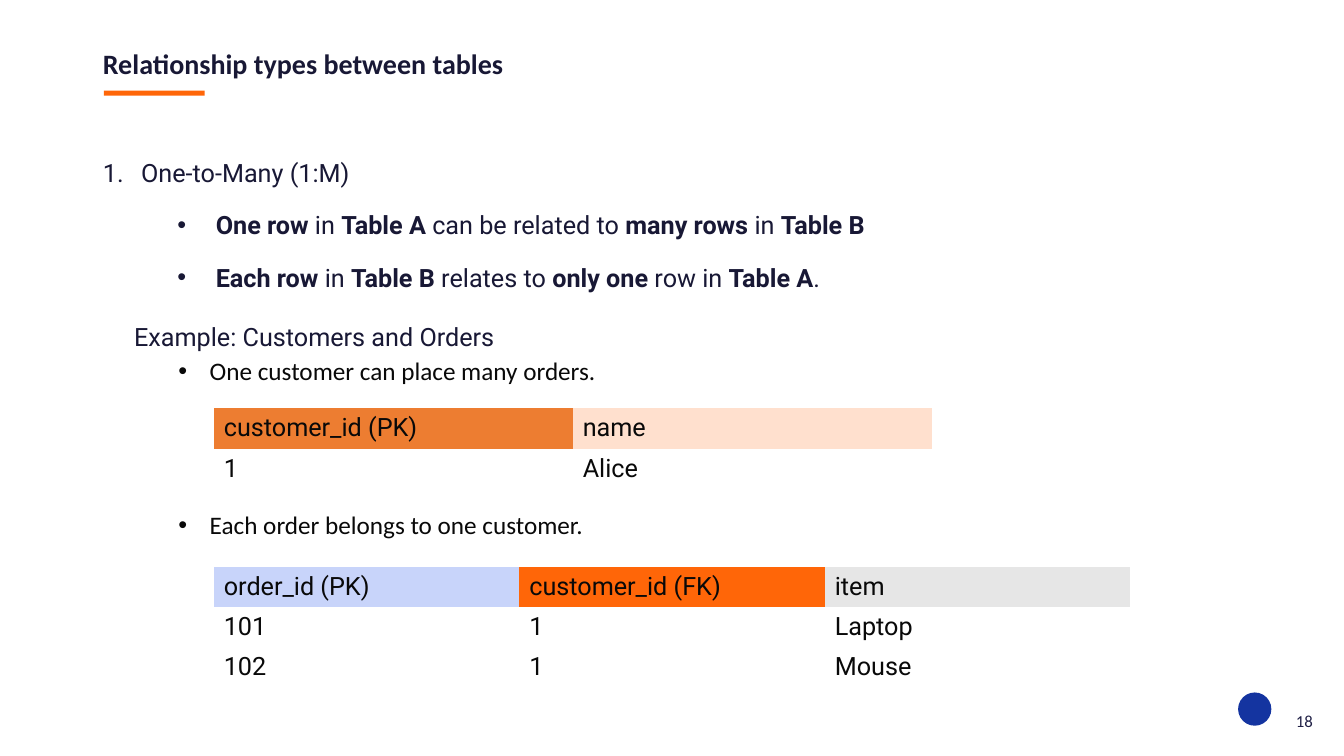
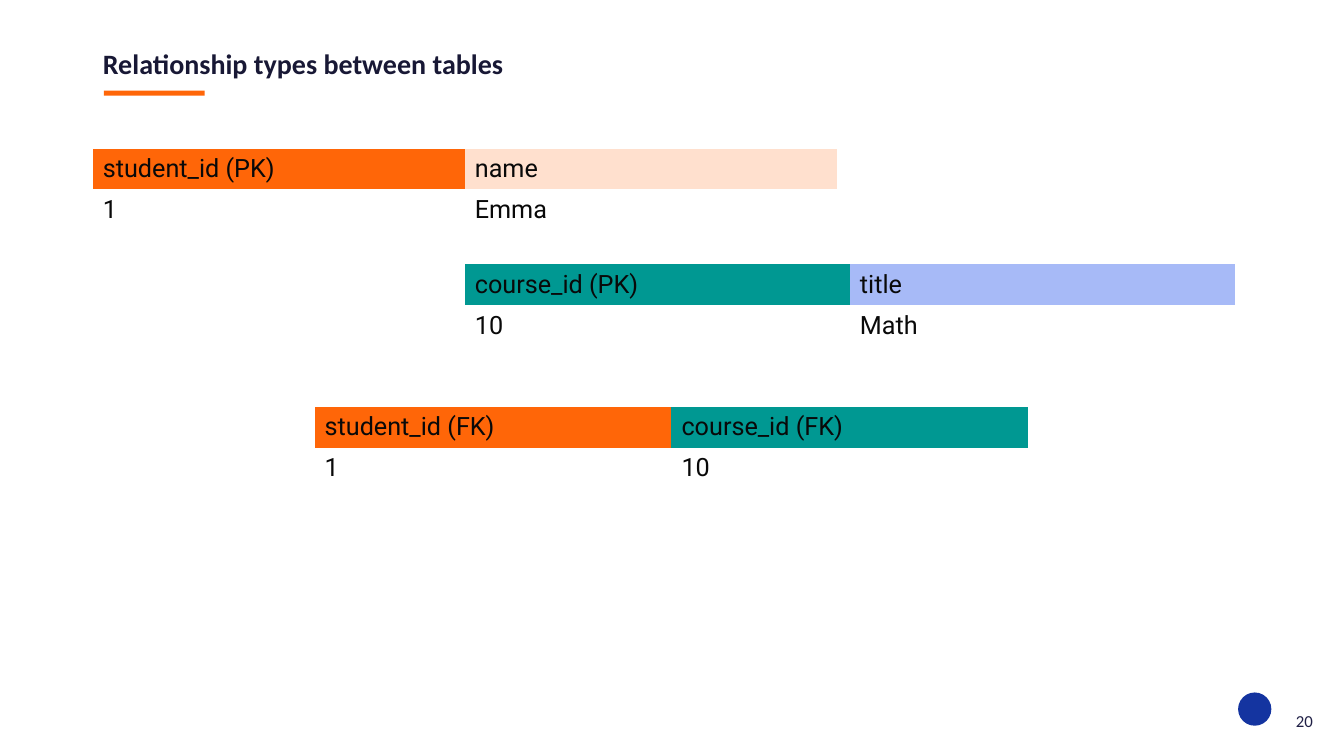
from dataclasses import dataclass

from lxml.etree import SubElement
from pptx import Presentation
from pptx.dml.color import RGBColor
from pptx.enum.shapes import MSO_SHAPE
from pptx.enum.text import MSO_ANCHOR, MSO_AUTO_SIZE, PP_ALIGN
from pptx.oxml.ns import qn
from pptx.util import Inches, Pt


@dataclass(frozen=True)
class Theme:
    heading_font: str = "Calibri"
    text_font: str = "Roboto"
    title_size: int = 20
    text_size: int = 18
    number_size: int = 12
    navy: str = "181835"
    number: str = "202046"
    black: str = "090909"
    mark: str = "1434A0"
    orange: str = "FF6608"
    amber: str = "ED7D31"
    peach: str = "FFE0CE"
    ice: str = "C8D4FA"
    periwinkle: str = "A7BAF7"
    grey: str = "E6E6E6"
    teal: str = "009892"


THEME = Theme()
TITLE_ONLY, TITLE_AND_BODY = 5, 1
PLAIN_TABLE_STYLE = "{2D5ABB26-0587-4C30-8999-92F81FD0307C}"

NUMBER = {"bullet": ("a:buAutoNum", {"type": "arabicPeriod"}), "left": 0.38, "hang": 0.38,
          "line": 1.2, "font": THEME.text_font, "color": THEME.navy}
RULE = {"bullet": ("a:buChar", {"char": "•"}), "left": 1.12, "hang": 0.38,
        "line": 1.5, "font": THEME.text_font, "color": THEME.navy}
EXAMPLE = {"bullet": ("a:buNone", {}), "left": 0.31, "hang": 0,
           "line": 1.5, "font": THEME.text_font, "color": THEME.navy}
CASE = {"bullet": ("a:buChar", {"char": "•"}), "left": 1.06, "hang": 0.31,
        "line": 0.9, "font": THEME.heading_font, "color": THEME.black}

SLIDES = [
    {
        "title": "Relationship types between tables",
        "number": "18",
        "body": [
            (NUMBER, 0, "One-to-Many (1:M)"),
            (RULE, 5, "**One row** in **Table A** can be related to **many rows** in **Table B**"),
            (RULE, 5, "**Each row** in **Table B** relates to **only one** row in **Table A**."),
            (EXAMPLE, 10, "Example: Customers and Orders"),
            (CASE, 5, "One customer can place many orders."),
            (CASE, 91, "Each order belongs to one customer."),
        ],
        "tables": [
            {"at": (2.12, 4.05), "column": 3.56, "row": 0.4,
             "fills": [THEME.amber, THEME.peach],
             "rows": [("customer_id (PK)", "name"), ("1", "Alice")]},
            {"at": (2.12, 5.62), "column": 3.03, "row": 0.4,
             "fills": [THEME.ice, THEME.orange, THEME.grey],
             "rows": [("order_id (PK)", "customer_id (FK)", "item"),
                      ("101", "1", "Laptop"), ("102", "1", "Mouse")]},
        ],
    },
    {
        "title": "Relationship types between tables",
        "number": "20",
        "body": [],
        "tables": [
            {"at": (0.92, 1.48), "column": 3.69, "row": 0.4,
             "fills": [THEME.orange, THEME.peach],
             "rows": [("student_id (PK)", "name"), ("1", "Emma")]},
            {"at": (4.61, 2.62), "column": 3.82, "row": 0.41,
             "fills": [THEME.teal, THEME.periwinkle],
             "rows": [("course_id (PK)", "title"), ("10", "Math")]},
            {"at": (3.12, 4.04), "column": 3.54, "row": 0.4,
             "fills": [THEME.orange, THEME.teal],
             "rows": [("student_id (FK)", "course_id (FK)"), ("1", "10")]},
        ],
    },
]


def set_font(paragraph, name, size, color, bold=False):
    font = paragraph.font
    font.name, font.size, font.bold = name, Pt(size), bold
    font.color.rgb = RGBColor.from_string(color)


def place(shape, left, top, width, height):
    shape.left, shape.top = Inches(left), Inches(top)
    shape.width, shape.height = Inches(width), Inches(height)


def set_frame(frame, anchor):
    frame.word_wrap = True
    frame.auto_size = MSO_AUTO_SIZE.NONE
    frame.vertical_anchor = anchor


def add_plain_shape(page, kind, left, top, width, height, color):
    shape = page.shapes.add_shape(
        kind, Inches(left), Inches(top), Inches(width), Inches(height))
    shape.shadow.inherit = False
    shape.fill.solid()
    shape.fill.fore_color.rgb = RGBColor.from_string(color)
    shape.line.fill.background()


def add_frame_parts(page, title, number):
    add_plain_shape(page, MSO_SHAPE.OVAL, 12.28, 6.87, 0.33, 0.33, THEME.mark)
    add_plain_shape(page, MSO_SHAPE.RECTANGLE, 1.03, 0.9, 1, 0.05, THEME.orange)

    heading = page.shapes.title
    place(heading, 0.92, 0.4, 11.5, 0.5)
    set_frame(heading.text_frame, MSO_ANCHOR.MIDDLE)
    heading.text_frame.text = title
    para = heading.text_frame.paragraphs[0]
    para.alignment = PP_ALIGN.LEFT
    para.line_spacing = 0.9
    set_font(para, THEME.heading_font, THEME.title_size, THEME.navy, True)

    box = page.shapes.add_textbox(Inches(0.22), Inches(6.95), Inches(12.9), Inches(0.4))
    set_frame(box.text_frame, MSO_ANCHOR.MIDDLE)
    box.text_frame.text = number
    para = box.text_frame.paragraphs[0]
    para.alignment = PP_ALIGN.RIGHT
    set_font(para, THEME.heading_font, THEME.number_size, THEME.number)


def fill_body(body, items):
    place(body, 0.92, 1.45, 11.5, 4.4)
    frame = body.text_frame
    set_frame(frame, MSO_ANCHOR.TOP)
    for index, (style, space_before, text) in enumerate(items):
        para = frame.add_paragraph() if index else frame.paragraphs[0]
        para.level = 1 if style in (RULE, CASE) else 0
        properties = para._p.get_or_add_pPr()
        properties.set("marL", str(Inches(style["left"])))
        properties.set("indent", str(-Inches(style["hang"])))
        tag, attributes = style["bullet"]
        if tag == "a:buChar":
            SubElement(properties, qn("a:buFont"), typeface="Arial")
        SubElement(properties, qn(tag), **attributes)
        para.line_spacing = style["line"]
        para.space_before = Pt(space_before)
        para.space_after = Pt(0)
        set_font(para, style["font"], THEME.text_size, style["color"])
        for position, part in enumerate(text.split("**")):
            if part:
                span = para.add_run()
                span.text = part
                span.font.bold = position % 2 == 1


def add_data_table(page, data):
    rows, fills = data["rows"], data["fills"]
    left, top = data["at"]
    graphic = page.shapes.add_table(
        len(rows), len(fills), Inches(left), Inches(top),
        Inches(data["column"] * len(fills)), Inches(data["row"] * len(rows)))
    graphic.element.find(".//" + qn("a:tableStyleId")).text = PLAIN_TABLE_STYLE
    table = graphic.table
    table.first_row = table.horz_banding = False
    for column in table.columns:
        column.width = Inches(data["column"])
    for row_index, row in enumerate(rows):
        table.rows[row_index].height = Inches(data["row"])
        for column_index, text in enumerate(row):
            cell = table.cell(row_index, column_index)
            cell.text = text
            cell.vertical_anchor = MSO_ANCHOR.MIDDLE
            set_font(cell.text_frame.paragraphs[0],
                     THEME.text_font, THEME.text_size, THEME.black)
            if row_index == 0:
                cell.fill.solid()
                cell.fill.fore_color.rgb = RGBColor.from_string(fills[column_index])
            else:
                cell.fill.background()


def main():
    deck = Presentation()
    deck.slide_width, deck.slide_height = Inches(13.33), Inches(7.5)
    for content in SLIDES:
        layout = TITLE_AND_BODY if content["body"] else TITLE_ONLY
        page = deck.slides.add_slide(deck.slide_layouts[layout])
        add_frame_parts(page, content["title"], content["number"])
        if content["body"]:
            fill_body(page.placeholders[1], content["body"])
        for data in content["tables"]:
            add_data_table(page, data)
    deck.save("out.pptx")


if __name__ == "__main__":
    main()
